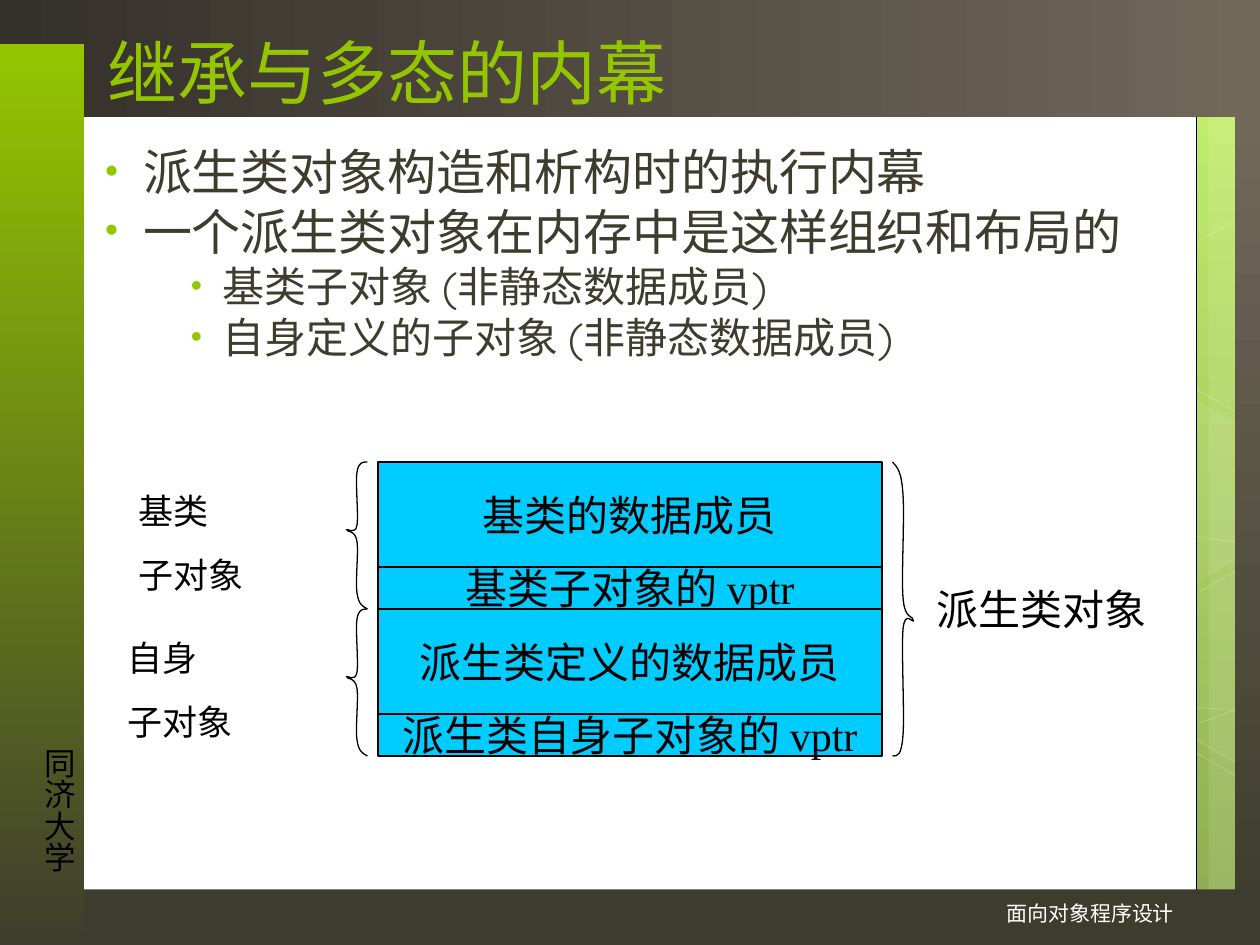
from dataclasses import dataclass
from math import cos, radians, sin
from typing import NamedTuple

from lxml.etree import SubElement
from pptx import Presentation
from pptx.dml.color import RGBColor
from pptx.enum.shapes import MSO_SHAPE
from pptx.enum.text import MSO_ANCHOR, MSO_AUTO_SIZE, PP_ALIGN
from pptx.oxml.ns import qn
from pptx.util import Emu, Inches, Pt

COLUMNS, ROWS = 120, 90
CELL = Inches(10) // COLUMNS


@dataclass(frozen=True)
class Theme:
    white: str = "FFFFFF"
    black: str = "000000"
    green: str = "94C600"
    leaf: str = "74A510"
    dark: str = "3E3D2D"
    taupe: str = "71685A"
    umber: str = "34302A"
    mist: str = "F5F5F5"
    cyan: str = "00CCFF"
    lime: str = "C2F35F"
    olive: str = "80A33D"
    display: str = "Quicksand"
    serif: str = "Times New Roman"
    sans: str = "Arial"
    title: int = 40
    topic: int = 28
    detail: int = 24
    label: int = 20
    school: int = 18
    footer: int = 12


THEME = Theme()
Point = tuple[float, float]


class Area(NamedTuple):
    """Left, top, width and height in grid cells."""
    left: float
    top: float
    width: float
    height: float

    def lengths(self) -> list[Emu]:
        return [Emu(round(value * CELL)) for value in self]


class Style(NamedTuple):
    font: str
    size: int
    color: str
    align: PP_ALIGN = PP_ALIGN.LEFT
    space_before: float = 0


class Bullet(NamedTuple):
    text: str
    level: int


class MemoryBlock(NamedTuple):
    text: str
    rows: int


class Bar(NamedTuple):
    area: Area
    start: str
    end: str
    angle: int


class Hexagon(NamedTuple):
    left: float
    top: float
    fill_opacity: int
    line_opacity: int


class CutHexagon(NamedTuple):
    center: Point
    points: list[Point]
    fill_opacity: int


BANDS = [(13, 21), (1, 6), (4, 10), (18.6, 21), (6.6, 6), (9.6, 10),
         (88.1, 21), (115.1, 6), (108, 10), (51, 37), (39, 6), (42, 10)]
WAVES = [
    [(.8, 80.8), (7.3, 81.1), (13.8, 81.5), (22.8, 81.4), (31.8, 81.2), (43, 81), (55, 79.8),
     (67, 78.6), (84, 76.2), (95, 74), (106, 71.8), (117.2, 68.2), (120.8, 66.1)],
    [(.8, 57.2), (4.3, 55.3), (7.8, 53.5), (14.5, 51.7), (21.4, 49.9), (31.1, 47.3), (41.6, 46.4),
     (52.3, 45.6), (65.3, 45.5), (78.5, 46.4), (91.7, 47.4), (113.6, 51.1), (120.8, 52.1)],
    [(.7, 74), (15.2, 80.6), (29.6, 87.2), (40.2, 89.9)],
    [(.8, 69.4), (4.6, 70.7), (8.4, 72), (15.4, 73.9), (22.3, 75.7), (32.8, 78.7), (42.8, 80.8),
     (52.8, 82.8), (65.4, 85), (75.4, 86.2), (85.3, 87.5), (96, 88), (102.4, 88.3),
     (108.7, 88.8), (110.3, 88.6), (113.4, 88.6), (116.5, 88.4), (118.7, 88.2), (120.8, 88.1)],
    [(29, 89.9), (31.2, 87.5), (33.4, 85.1), (36.2, 82.9), (39.1, 80.6), (43.2, 78.4), (46.6, 76.7),
     (49.9, 75), (52, 74.3), (56.3, 73.1), (60.7, 71.9), (68.8, 70.2), (73, 69.4),
     (77.3, 68.5), (77.9, 68.5), (81.6, 68.3), (85.3, 67.9), (91.2, 67.6), (95.3, 67.4),
     (99.5, 67.3), (106.3, 67.4), (114.4, 67.4), (116.5, 67.6), (118.6, 67.8), (120.7, 67.9)],
]
HEXAGONS = [Hexagon(40.1, 4.3, 4, 8), Hexagon(59.5, 70.7, 6, 12), Hexagon(1.3, 70.9, 0, 12),
            Hexagon(1.7, 37.4, 7, 8), Hexagon(20.9, 71, 0, 12), Hexagon(90.4, 54.4, 10, 12),
            Hexagon(100.1, 71.2, 0, 12), Hexagon(100.1, 37.7, 7, 8)]
RIGHT_CUT = [(-7.1, -4.2), (2, -9.5), (2.9, -8.9), (2.9, 11.2), (2, 11.6), (-7.1, 6.4)]
LEFT_CUT = [(-3.4, -10.9), (-2, -11.8), (7.2, -6.4), (7.1, 4.1), (-1.9, 9.4), (-3.2, 8.5)]
CUT_HEXAGONS = [CutHexagon((4.3, 64.3), LEFT_CUT, 10), CutHexagon((118.2, 62.4), RIGHT_CUT, 4),
                CutHexagon((118.2, 29), RIGHT_CUT, 0)]
BRACE = [(0, 0), (.25, .02), (.42, .03), (.5, .11), (.58, .19), (.42, .39), (.5, .46),
         (.58, .54), (1, .52), (1, .54), (1, .55), (.58, .5), (.5, .57),
         (.42, .64), (.58, .86), (.5, .93), (.42, 1), (.25, 1), (0, 1)]


def fade(color_parent, opacity: float) -> None:
    """Set the opacity, in percent, of a solid fill or line element."""
    color = color_parent.find(qn("a:solidFill"))[0]
    SubElement(color, qn("a:alpha"), val=str(round(opacity * 1000)))


def paint(shape, fill: str | None, line: str | None = None, width: float = 0.75,
          fill_opacity: float = 100, line_opacity: float = 100) -> None:
    shape.shadow.inherit = False
    properties = shape._element.spPr
    if fill and fill_opacity:
        shape.fill.solid()
        shape.fill.fore_color.rgb = RGBColor.from_string(fill)
        if fill_opacity < 100:
            fade(properties, fill_opacity)
    else:
        shape.fill.background()
    if line:
        shape.line.color.rgb = RGBColor.from_string(line)
        shape.line.width = Pt(width)
        if line_opacity < 100:
            fade(properties.find(qn("a:ln")), line_opacity)
    else:
        shape.line.fill.background()


def blend(fill, start: str, end: str, angle: int) -> None:
    """Fill with a two-colour gradient; the angle runs clockwise."""
    fill.gradient()
    fill.gradient_angle = -angle % 360
    for stop, color, position in zip(fill.gradient_stops, (start, end), (0, 1)):
        stop.color.rgb = RGBColor.from_string(color)
        stop.position = position


def add_rectangle(slide, area: Area):
    return slide.shapes.add_shape(MSO_SHAPE.RECTANGLE, *area.lengths())


def add_outline(slide, points: list[Point], closed: bool = False):
    scaled = [(round(x * CELL), round(y * CELL)) for x, y in points]
    builder = slide.shapes.build_freeform(*scaled[0])
    builder.add_line_segments(scaled[1:], close=closed)
    return builder.convert_to_shape()


def add_curve(slide, points: list[Point]):
    """Join cubic curves: a start, then three points for each curve."""
    shape = add_outline(slide, points)
    segments = list(shape._element.iter(qn("a:lnTo")))
    for first in range(0, len(segments), 3):
        curve = SubElement(segments[first].getparent(), qn("a:cubicBezTo"))
        for segment in segments[first:first + 3]:
            curve.append(segment[0])
            segment.getparent().remove(segment)
    return shape


def add_brace(slide, area: Area, turned: bool = False) -> None:
    points = [(1 - x, 1 - y) if turned else (x, y) for x, y in BRACE]
    placed = [(area.left + x * area.width, area.top + y * area.height) for x, y in points]
    paint(add_curve(slide, placed), None, THEME.black)


def add_text(slide, area: Area, lines: list[str], style: Style):
    frame = slide.shapes.add_textbox(*area.lengths()).text_frame
    frame.word_wrap = True
    write(frame, lines, style)
    return frame


def write(frame, lines: list[str], style: Style) -> None:
    for index, line in enumerate(lines):
        paragraph = frame.add_paragraph() if index else frame.paragraphs[0]
        paragraph.text = line
        paragraph.alignment = style.align
        paragraph.space_before = Pt(style.space_before if index else 0)
        paragraph.font.name = style.font
        paragraph.font.size = Pt(style.size)
        paragraph.font.color.rgb = RGBColor.from_string(style.color)


def add_bullets(slide, area: Area, bullets: list[Bullet]) -> None:
    frame = add_text(slide, area, [bullet.text for bullet in bullets],
                     Style(THEME.display, THEME.topic, THEME.dark, space_before=7))
    for paragraph, bullet in zip(frame.paragraphs, bullets):
        paragraph.line_spacing = 0.8
        margin, indent = (1, -0.25) if bullet.level else (0.37, -0.3)
        if bullet.level:
            paragraph.level = bullet.level
            paragraph.font.size = Pt(THEME.detail)
            paragraph.space_before = Pt(6)
        properties = paragraph._p.get_or_add_pPr()
        properties.set("marL", str(Inches(margin)))
        properties.set("indent", str(Inches(indent)))
        defaults = properties.find(qn("a:defRPr"))
        color = SubElement(properties, qn("a:buClr"))
        SubElement(color, qn("a:srgbClr"), val=THEME.green)
        for mark in (color, SubElement(properties, qn("a:buSzPct"), val="76000"),
                     SubElement(properties, qn("a:buFont"), typeface=THEME.sans),
                     SubElement(properties, qn("a:buChar"), char="•")):
            defaults.addprevious(mark)


def add_backdrop(slide) -> None:
    blend(slide.background.fill, THEME.lime, THEME.olive, 90)
    for left, width in BANDS:
        paint(add_rectangle(slide, Area(left, 0, width, ROWS)), THEME.white, fill_opacity=10)
    for wave in WAVES:
        paint(add_curve(slide, wave), None, THEME.white, 0.5, line_opacity=20)
    for hexagon in HEXAGONS:
        shape = slide.shapes.add_shape(MSO_SHAPE.HEXAGON, *Area(hexagon.left, hexagon.top, 21, 18.2).lengths())
        shape.adjustments[0] = 0.285
        shape.rotation = 30
        paint(shape, THEME.white, THEME.white, 1, hexagon.fill_opacity, hexagon.line_opacity)
    cosine, sine = cos(radians(30)), sin(radians(30))
    for (center_x, center_y), points, opacity in CUT_HEXAGONS:
        upright = [(center_x + x * cosine + y * sine, center_y + y * cosine - x * sine) for x, y in points]
        shape = add_outline(slide, upright, closed=True)
        shape.rotation = 30
        paint(shape, THEME.white, THEME.white, 1, opacity, 12)


def add_panels(slide) -> None:
    paint(add_rectangle(slide, Area(6, 4.3, 108, 81.2)), THEME.white, THEME.black, 0.5)
    paint(add_rectangle(slide, Area(59.9, -0.2, 48.2, 9.2)), THEME.mist, THEME.leaf, 1.25)
    paint(add_rectangle(slide, Area(61.1, -0.2, 46, 8.2)), THEME.taupe)
    paint(add_rectangle(slide, Area(8, 84.7, 112, 5.3)), THEME.dark)
    for bar in (Bar(Area(0, 0, COLUMNS, 11.14), THEME.umber, THEME.taupe, 0),
                Bar(Area(0, 4.2, 8, 85.8), THEME.green, THEME.dark, 90),
                Bar(Area(117.6, 10.9, 2.4, 76.6), THEME.taupe, THEME.dark, 90)):
        shape = add_rectangle(slide, bar.area)
        paint(shape, None)
        blend(shape.fill, bar.start, bar.end, bar.angle)


def add_memory_layout(slide) -> None:
    top = 44
    for block in (MemoryBlock("基类的数据成员", 10), MemoryBlock("基类子对象的 vptr", 4),
                  MemoryBlock("派生类定义的数据成员", 10), MemoryBlock("派生类自身子对象的 vptr", 4)):
        shape = add_rectangle(slide, Area(36, top, 48, block.rows))
        paint(shape, THEME.cyan, THEME.black)
        shape.text_frame.word_wrap = False
        shape.text_frame.vertical_anchor = MSO_ANCHOR.MIDDLE
        write(shape.text_frame, [block.text], Style(THEME.serif, THEME.detail, THEME.black, PP_ALIGN.CENTER))
        top += block.rows
    add_brace(slide, Area(85, 44, 2, 28))
    add_text(slide, Area(88, 55, 28, 6), ["派生类对象"], Style(THEME.serif, THEME.detail, THEME.black))
    label = Style(THEME.serif, THEME.label, THEME.black, space_before=12.5)
    for top, area, owner in ((44, Area(12, 46, 18, 11.3), "基类"), (58, Area(11, 60, 22, 11.3), "自身")):
        add_brace(slide, Area(33, top, 2, 14), turned=True)
        add_text(slide, area, [owner, "子对象"], label)


def add_school(slide) -> None:
    frame = add_text(slide, Area(2, 70, 6, 13.2), ["同济大学"], Style(THEME.sans, THEME.school, THEME.black))
    frame.word_wrap = False
    frame.auto_size = MSO_AUTO_SIZE.SHAPE_TO_FIT_TEXT
    frame.margin_left = frame.margin_right = Inches(0.05)
    frame.margin_top = frame.margin_bottom = Inches(0.1)
    frame._txBody.bodyPr.set("vert", "eaVert")


def main() -> None:
    presentation = Presentation()
    presentation.slide_width, presentation.slide_height = COLUMNS * CELL, ROWS * CELL
    slide = presentation.slides.add_slide(presentation.slide_layouts[6])
    add_backdrop(slide)
    add_panels(slide)
    add_school(slide)
    title = add_text(slide, Area(9.05, 1, 92.2, 10.4), ["继承与多态的内幕"],
                     Style(THEME.display, THEME.title, THEME.green))
    title.vertical_anchor = MSO_ANCHOR.BOTTOM
    add_bullets(slide, Area(8, 14, 107.6, 23), [
        Bullet("派生类对象构造和析构时的执行内幕", 0),
        Bullet("一个派生类对象在内存中是这样组织和布局的", 0),
        Bullet("基类子对象 (非静态数据成员)", 2),
        Bullet("自身定义的子对象 (非静态数据成员)", 2)])
    add_memory_layout(slide)
    add_text(slide, Area(67, 85.2, 46, 4.8), ["面向对象程序设计"],
             Style(THEME.sans, THEME.footer, THEME.white, PP_ALIGN.RIGHT))
    presentation.save("out.pptx")


if __name__ == "__main__":
    main()
